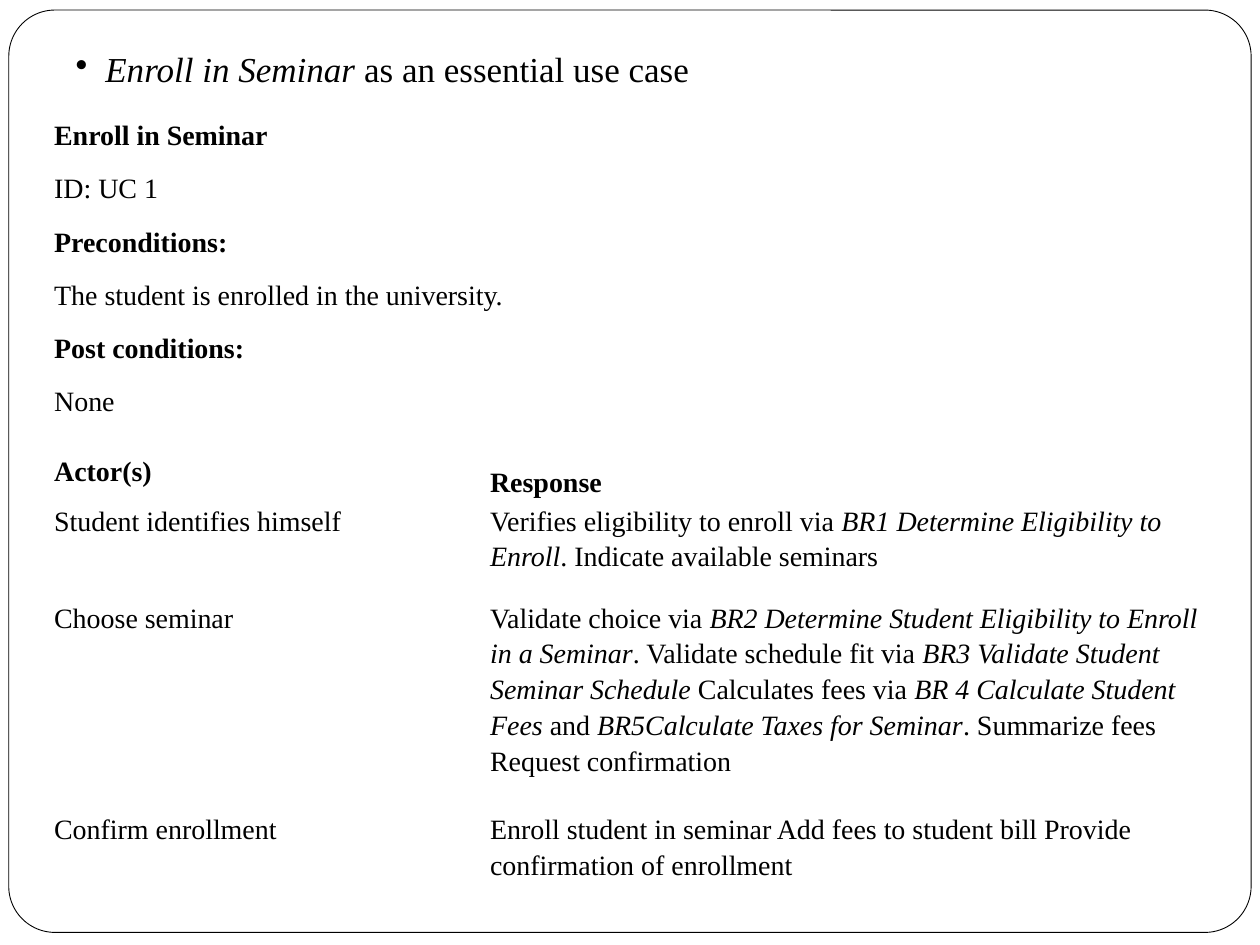
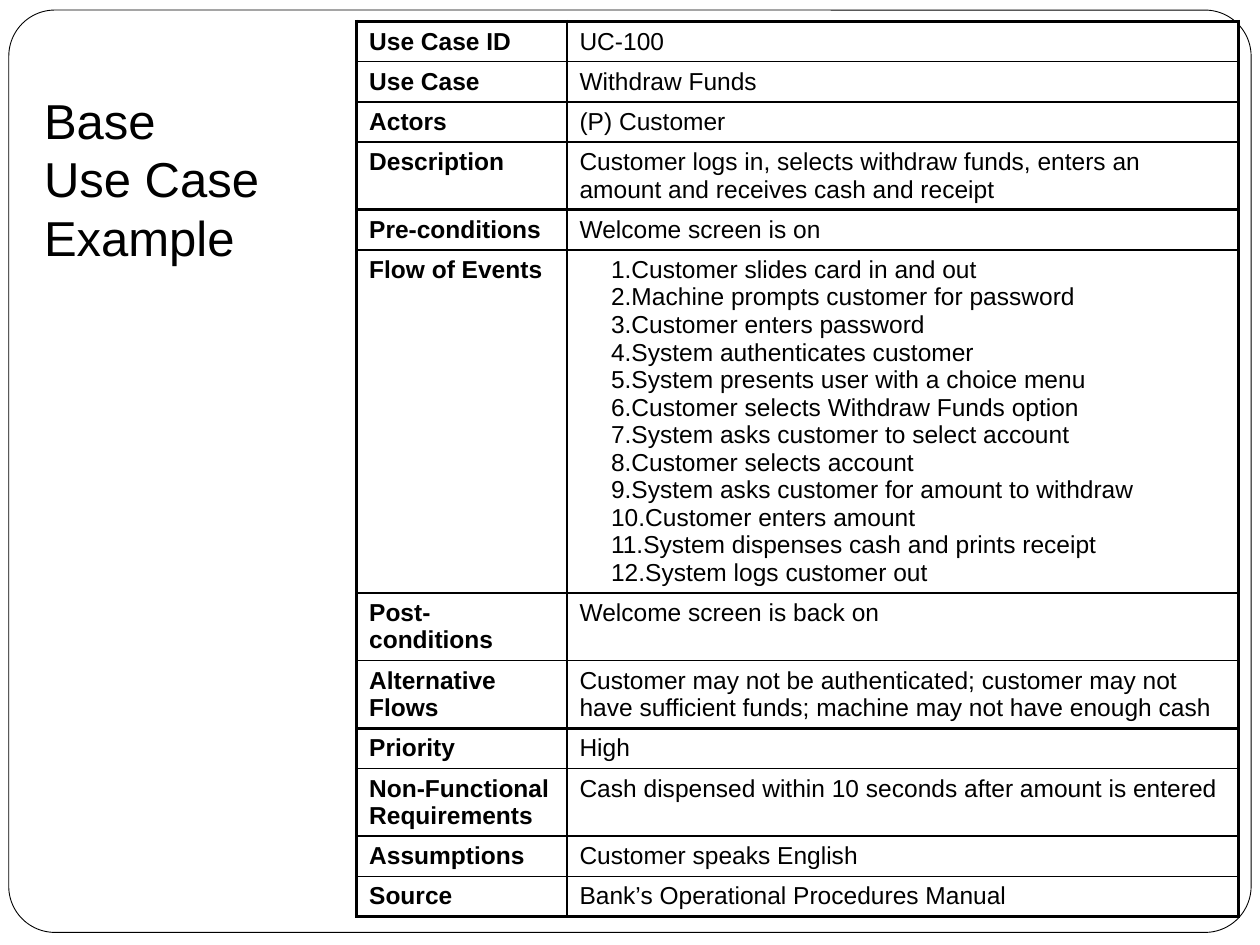
from dataclasses import dataclass

from lxml import etree
from pptx import Presentation
from pptx.dml.color import RGBColor
from pptx.enum import shapes, text
from pptx.oxml.ns import qn
from pptx.util import Inches, Pt

BLACK = RGBColor(0x00, 0x00, 0x00)
WHITE = RGBColor(0xFF, 0xFF, 0xFF)
SERIF, SANS = "Times New Roman", "Arial"
NO_STYLE = "{2D5ABB26-0587-4C30-8999-92F81FD0307C}"
TITLE_ONLY = 5
THIN, THICK = 1, 2


@dataclass(frozen=True)
class Box:
    left: float
    top: float
    width: float
    height: float

    def lengths(self) -> list:
        return [Inches(v) for v in (self.left, self.top, self.width, self.height)]


@dataclass(frozen=True)
class Style:
    font: str
    size: int
    anchor: text.MSO_ANCHOR = text.MSO_ANCHOR.TOP


@dataclass(frozen=True)
class Field:
    label: str
    value: str
    opens: bool = False
    closes: bool = False


# Wording: asterisks enclose italic passages
PRECONDITION_LINES = [
    ("Enroll in Seminar", True),
    ("ID: UC 1", False),
    ("Preconditions:", True),
    ("The student is enrolled in the university.", False),
    ("Post conditions:", True),
    ("None", False),
]
EXCHANGES = [
    ("Actor(s)", "Response"),
    ("Student identifies himself",
     "Verifies eligibility to enroll via *BR1 Determine Eligibility to Enroll*. "
     "Indicate available seminars"),
    ("Choose seminar",
     "Validate choice via *BR2 Determine Student Eligibility to Enroll in a Seminar*. "
     "Validate schedule fit via *BR3 Validate Student Seminar Schedule *"
     "Calculates fees via *BR 4 Calculate Student Fees *and "
     "*BR5Calculate Taxes for Seminar*. Summarize fees Request confirmation"),
    ("Confirm enrollment",
     "Enroll student in seminar Add fees to student bill "
     "Provide confirmation of enrollment"),
]
FLOW = "\n".join([
    "Customer slides card in and out",
    "Machine prompts customer for password",
    "Customer enters password",
    "System authenticates customer",
    "System presents user with a choice menu",
    "Customer selects Withdraw Funds option",
    "System asks customer to select account",
    "Customer selects account",
    "System asks customer for amount to withdraw",
    "Customer enters amount",
    "System dispenses cash and prints receipt",
    "System logs customer out",
])
FIELDS = [
    Field("Use Case ID", "UC-100", opens=True),
    Field("Use Case", "Withdraw Funds"),
    Field("Actors", "(P) Customer"),
    Field("Description", "Customer logs in, selects withdraw funds, enters an amount "
          "and receives cash and receipt", closes=True),
    Field("Pre-conditions", "Welcome screen is on", opens=True),
    Field("Flow of Events", FLOW),
    Field("Post-conditions", "Welcome screen is back on"),
    Field("Alternative Flows", "Customer may not be authenticated; customer may not have "
          "sufficient funds; machine may not have enough cash", closes=True),
    Field("Priority", "High", opens=True),
    Field("Non-Functional Requirements",
          "Cash dispensed within 10 seconds after amount is entered"),
    Field("Assumptions", "Customer speaks English"),
    Field("Source", "Bank’s Operational Procedures Manual", closes=True),
]


# Text helpers
def format_run(r, style: Style, bold: bool = False, italic: bool = False) -> None:
    r.font.name, r.font.size = style.font, Pt(style.size)
    r.font.bold, r.font.italic = bold, italic
    r.font.color.rgb = BLACK


def write_rich(p, content: str, style: Style, bold: bool = False) -> None:
    for i, part in enumerate(content.split("*")):
        if part:
            r = p.add_run()
            r.text = part
            format_run(r, style, bold, italic=i % 2 == 1)


def add_bullet(p, tag: str, **attrs: str) -> None:
    etree.SubElement(p._p.get_or_add_pPr(), qn(tag), attrs)


# Shared slide parts
def add_frame(slide, layout) -> None:
    """Draw the rounded border and place it on the layout, behind everything."""
    sp = slide.shapes.add_shape(shapes.MSO_SHAPE.ROUNDED_RECTANGLE,
                                *Box(0.07, 0.08, 9.86, 7.32).lengths())
    sp.adjustments[0] = 0.05
    sp.shadow.inherit = False
    sp.fill.solid()
    sp.fill.fore_color.rgb = WHITE
    sp.line.color.rgb = BLACK
    sp.line.width = Pt(0.5)
    layout.shapes._spTree.insert(2, sp._element)


def place_title(slide, box: Box, style: Style):
    title = slide.shapes.title
    title.left, title.top, title.width, title.height = box.lengths()
    tf = title.text_frame
    tf.word_wrap = True
    tf.auto_size = text.MSO_AUTO_SIZE.NONE
    tf.vertical_anchor = style.anchor
    p = tf.paragraphs[0]
    p.alignment = text.PP_ALIGN.LEFT
    return p


def add_plain_table(slide, box: Box, widths: list[float], heights: list[float]):
    table = slide.shapes.add_table(len(heights), len(widths), *box.lengths()).table
    table.first_row = table.horz_banding = False
    table._tbl.tblPr.find(qn("a:tableStyleId")).text = NO_STYLE
    for column, width in zip(table.columns, widths):
        column.width = Inches(width)
    for row, height in zip(table.rows, heights):
        row.height = Inches(height)
    return table


def set_borders(cell, left: int, right: int, top: int, bottom: int) -> None:
    tcPr = cell._tc.get_or_add_tcPr()
    sides = {"a:lnL": left, "a:lnR": right, "a:lnT": top, "a:lnB": bottom}
    for i, (tag, width) in enumerate(sides.items()):
        ln = etree.Element(qn(tag), w=str(Pt(width)))
        fill = etree.SubElement(ln, qn("a:solidFill"))
        etree.SubElement(fill, qn("a:srgbClr"), val=str(BLACK))
        tcPr.insert(i, ln)


# Slide 1: essential use case
def build_enroll(slide) -> None:
    style = Style(SERIF, 20)
    p = place_title(slide, Box(0.5, 0.33, 6.83, 0.44), style)
    add_bullet(p, "a:buChar", char="•")
    write_rich(p, "*Enroll in Seminar* as an essential use case", style)

    table = add_plain_table(slide, Box(0.42, 0.91, 9.17, 6.44), [3.46, 5.71],
                            [2.67, 0.39, 0.77, 1.68, 0.93])
    table.cell(0, 0).merge(table.cell(0, 1))
    fill_enroll_cell(table.cell(0, 0), PRECONDITION_LINES)
    for row, exchange in enumerate(EXCHANGES, start=1):
        for col, content in enumerate(exchange):
            fill_enroll_cell(table.cell(row, col), [(content, row == 1)])
    table.cell(1, 1).vertical_anchor = text.MSO_ANCHOR.BOTTOM


def fill_enroll_cell(cell, lines: list[tuple[str, bool]]) -> None:
    cell.fill.background()
    cell.margin_left = cell.margin_right = Inches(0.01)
    cell.margin_top = cell.margin_bottom = Inches(0.01)
    tf = cell.text_frame
    for i, (content, bold) in enumerate(lines):
        p = tf.add_paragraph() if i else tf.paragraphs[0]
        p.line_spacing = 1.15
        p.space_after = Pt(10)
        write_rich(p, content, Style(SERIF, 16), bold)


# Slide 2: base use case
def build_withdraw(slide) -> None:
    style = Style(SANS, 28, text.MSO_ANCHOR.MIDDLE)
    p = place_title(slide, Box(0.25, 0.5, 2.42, 1.83), style)
    p.text = "Base\vUse Case Example"
    for r in p.runs:
        format_run(r, style)
    for br in p._p.findall(qn("a:br")):
        etree.SubElement(br, qn("a:rPr"), sz=str(style.size * 100))

    table = add_plain_table(slide, Box(2.83, 0.17, 7, 2.16), [1.67, 5.33],
                            [0.18] * len(FIELDS))
    for row, field in enumerate(FIELDS):
        top = THICK if field.opens else THIN
        bottom = THICK if field.closes else THIN
        label, value = table.cell(row, 0), table.cell(row, 1)
        fill_field_cell(label, field.label, bold=True)
        fill_field_cell(value, field.value)
        set_borders(label, THICK, THIN, top, bottom)
        set_borders(value, THIN, THICK, top, bottom)


def fill_field_cell(cell, content: str, bold: bool = False) -> None:
    cell.fill.solid()
    cell.fill.fore_color.rgb = WHITE
    tf = cell.text_frame
    tf.text = content
    numbered = len(tf.paragraphs) > 1
    for p in tf.paragraphs:
        if numbered:
            pPr = p._p.get_or_add_pPr()
            pPr.set("marL", "0")
            pPr.set("indent", str(Inches(0.25)))
            add_bullet(p, "a:buAutoNum", type="arabicPeriod")
            tabs = etree.SubElement(pPr, qn("a:tabLst"))
            etree.SubElement(tabs, qn("a:tab"), pos=str(Inches(0.25)), algn="l")
        for r in p.runs:
            format_run(r, Style(SANS, 14), bold)


def main() -> None:
    prs = Presentation()
    prs.slide_width, prs.slide_height = Inches(10), Inches(7.5)
    layout = prs.slide_layouts[TITLE_ONLY]
    enroll, withdraw = (prs.slides.add_slide(layout) for _ in range(2))
    add_frame(enroll, layout)
    build_enroll(enroll)
    build_withdraw(withdraw)
    prs.save("out.pptx")


if __name__ == "__main__":
    main()
